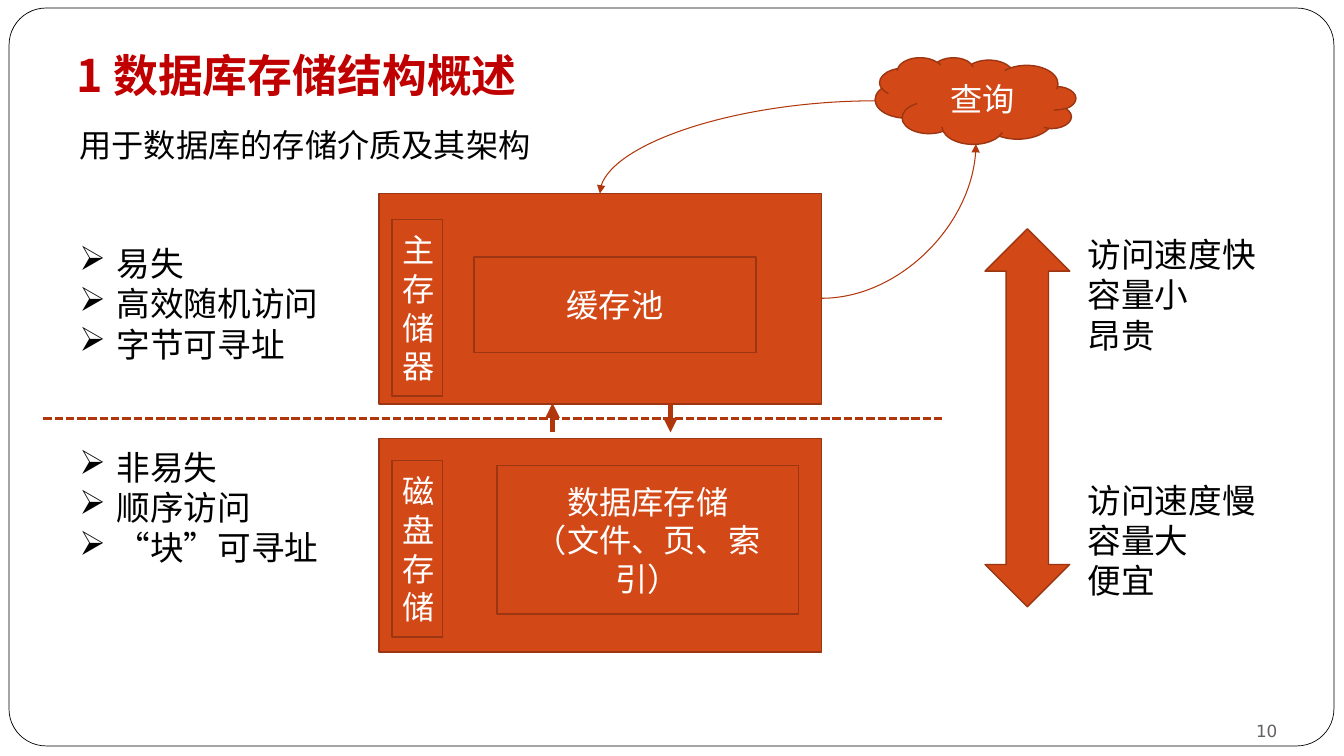
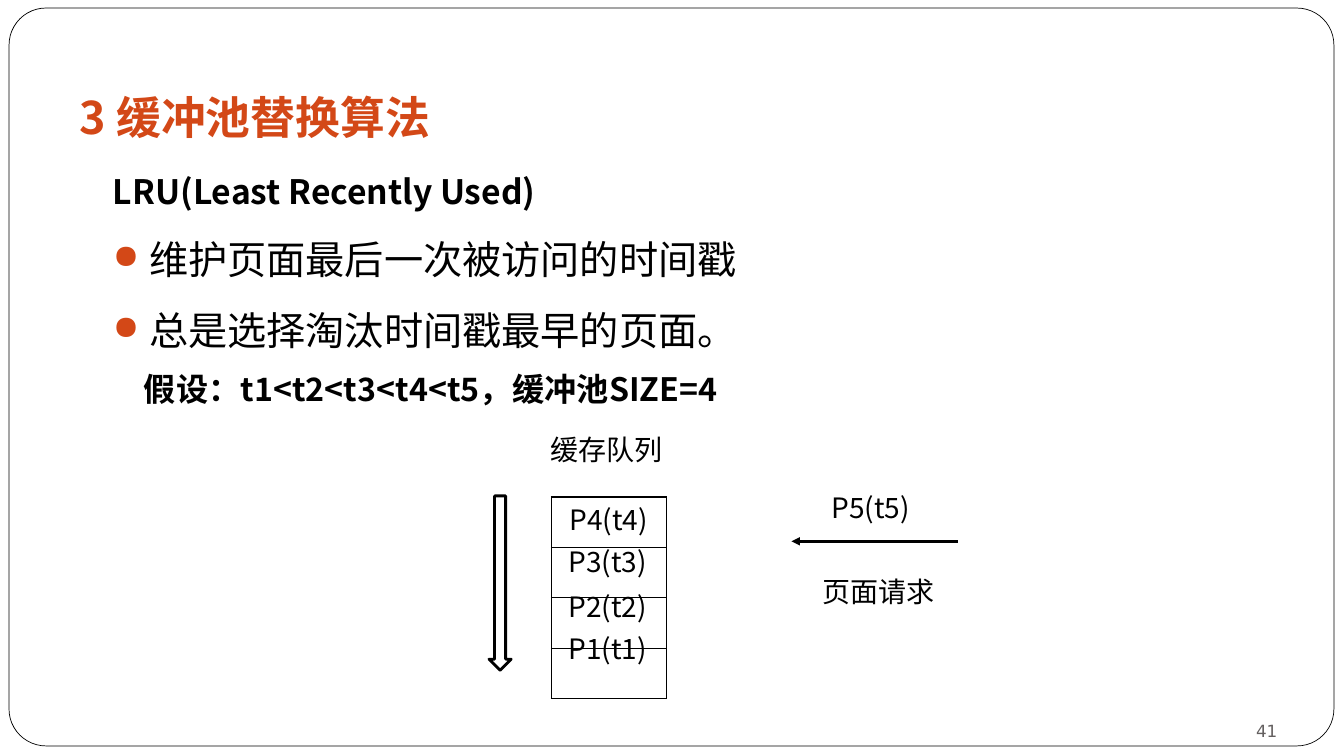
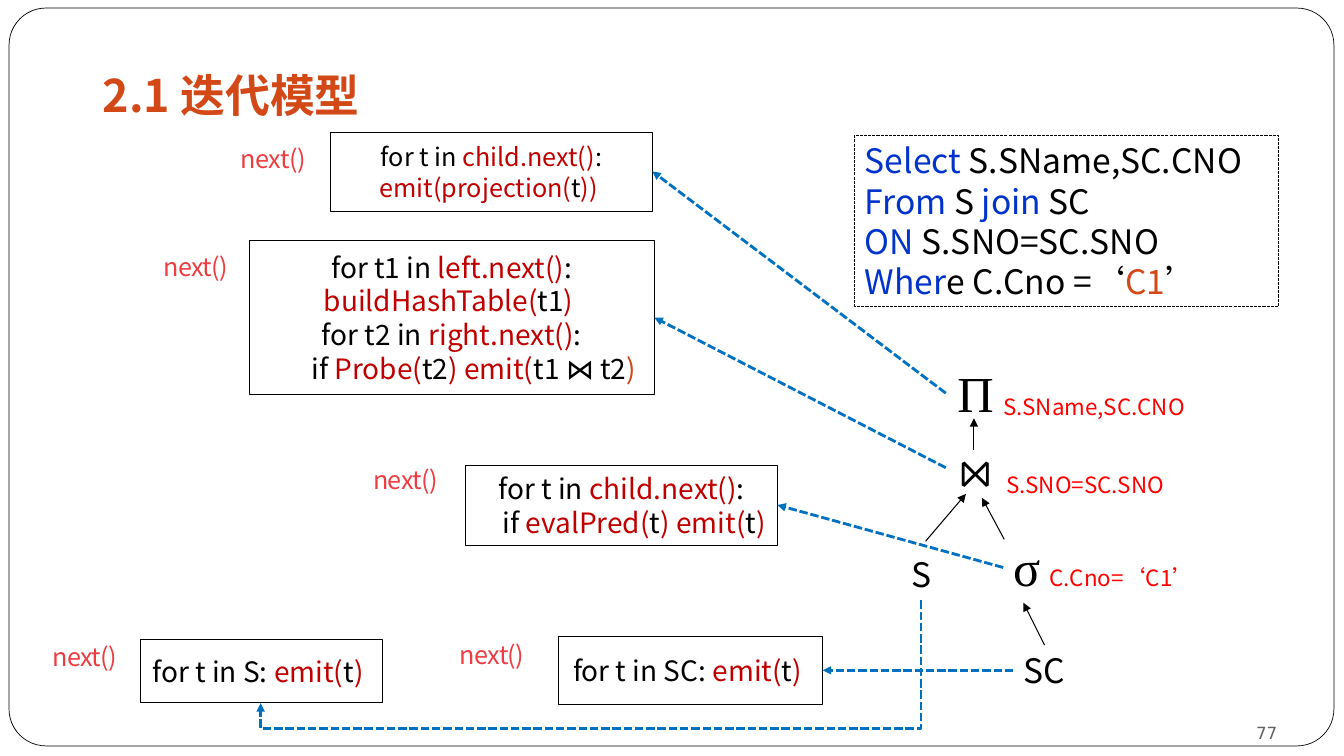
from itertools import cycle

from lxml.etree import SubElement
from pptx import Presentation
from pptx.dml.color import RGBColor
from pptx.enum.dml import MSO_LINE
from pptx.enum.shapes import MSO_CONNECTOR as LINK, MSO_SHAPE as SHAPE
from pptx.enum.text import MSO_ANCHOR as ANCHOR, PP_ALIGN as ALIGN
from pptx.oxml.ns import qn
from pptx.util import Emu, Pt

SANS, SERIF, NUMBER_FONT = "Noto Sans CJK SC", "Times New Roman", "DejaVu Sans"
BLACK = RGBColor(0x00, 0x00, 0x00)
WHITE = RGBColor(0xFF, 0xFF, 0xFF)
ORANGE = RGBColor(0xD3, 0x48, 0x17)
RUST = RGBColor(0x9C, 0x35, 0x11)
LINK_RUST = RGBColor(0xB1, 0x36, 0x0B)
CRIMSON = RGBColor(0xC0, 0x00, 0x00)
RED = RGBColor(0xFF, 0x00, 0x00)
CORAL = RGBColor(0xEE, 0x3D, 0x42)
KEYWORD_BLUE = RGBColor(0x00, 0x33, 0xCC)
LINK_BLUE = RGBColor(0x00, 0x70, 0xC0)
GRAY = RGBColor(0x64, 0x60, 0x60)
PX = 9144


def px(*lengths):
    """Turn px lengths into EMU."""
    return [Emu(length * PX) for length in lengths]


def paint(colors, *texts):
    """Pair pieces of a line with colours taken in turn."""
    return [(text, color) for text, color in zip(texts, cycle(colors)) if text]


def code(*texts):
    """Colour a line of code, black and crimson in turn."""
    return paint((BLACK, CRIMSON), *texts)


def add_bullet(paragraph, char, indent, color=None, percent=None):
    """Give a paragraph a hanging bullet."""
    props = paragraph._p.get_or_add_pPr()
    props.set("marL", str(indent * PX))
    props.set("indent", str(-indent * PX))
    if color is not None:
        SubElement(SubElement(props, qn("a:buClr")), qn("a:srgbClr"), val=str(color))
    if percent:
        SubElement(props, qn("a:buSzPct"), val=str(percent * 1000))
    SubElement(props, qn("a:buChar"), char=char)


def set_font(paragraph, size, color, name=SANS, bold=False, tracking=0):
    """Set the font of a whole paragraph, Latin and East Asian."""
    font = paragraph.font
    font.size, font.name, font.bold = Pt(size), name, bold
    font.color.rgb = color
    props = paragraph._p.pPr.find(qn("a:defRPr"))
    SubElement(props, qn("a:ea"), typeface=SANS if name == SERIF else name)
    if tracking:
        props.set("spc", str(tracking))


def write(frame, lines, size, color=BLACK, align=ALIGN.LEFT, anchor=ANCHOR.TOP,
          insets=(10, 5, 10, 5), wrap=True, bullet=None, **font):
    """Fill a text frame with lines, each a string or coloured pieces."""
    frame.word_wrap, frame.vertical_anchor = wrap, anchor
    (frame.margin_left, frame.margin_top,
     frame.margin_right, frame.margin_bottom) = px(*insets)
    for index, line in enumerate(lines):
        paragraph = frame.add_paragraph() if index else frame.paragraphs[0]
        paragraph.alignment = align
        if bullet:
            add_bullet(paragraph, bullet, 37)
        set_font(paragraph, size, color, **font)
        if isinstance(line, str):
            paragraph.add_run().text = line
            continue
        for text, piece_color in line:
            run = paragraph.add_run()
            run.text = text
            run.font.color.rgb = piece_color


def add_text(slide, box, lines, size, **style):
    """Add a text box."""
    write(slide.shapes.add_textbox(*px(*box)).text_frame, lines, size, **style)


def add_box(slide, kind, box, fill=ORANGE, line=RUST, width=1.0):
    """Add a flat preset shape."""
    shape = slide.shapes.add_shape(kind, *px(*box))
    shape.shadow.inherit = False
    if fill is None:
        shape.fill.background()
    else:
        shape.fill.solid()
        shape.fill.fore_color.rgb = fill
    shape.line.color.rgb, shape.line.width = line, Pt(width)
    return shape


def add_label(slide, box, *lines, kind=SHAPE.RECTANGLE):
    """Add an orange shape with centred white text."""
    shape = add_box(slide, kind, box)
    write(shape.text_frame, lines, 23, color=WHITE, align=ALIGN.CENTER, anchor=ANCHOR.MIDDLE)
    return shape


def add_link(slide, ends, color, width, kind=LINK.STRAIGHT, dashed=False, arrow=True):
    """Add a connector, by default with an arrowhead at its end."""
    link = slide.shapes.add_connector(kind, *px(*ends))
    link.line.color.rgb, link.line.width = color, Pt(width)
    if dashed:
        link.line.dash_style = MSO_LINE.SQUARE_DOT
    props = link._element.spPr
    if arrow:
        SubElement(props.find(qn("a:ln")), qn("a:tailEnd"), type="triangle")
    SubElement(props, qn("a:effectLst"))
    return link


def add_curve(slide, ends):
    """Add a quarter-turn curved arrow."""
    link = add_link(slide, ends, LINK_RUST, 0.75, LINK.CURVE)
    link._element.spPr.find(qn("a:prstGeom")).set("prst", "curvedConnector2")


def start_slide(deck, title, left, top, number, color=ORANGE, number_top=695):
    """Add a slide with the shared frame, title and page number."""
    slide = deck.slides.add_slide(deck.slide_layouts[6])
    frame = add_box(slide, SHAPE.ROUNDED_RECTANGLE, (9, 8, 1314, 732), WHITE, BLACK, 0.5)
    frame.adjustments[0] = 0.05
    add_text(slide, (left, top, 1200, 86), [title], 32, color=color, bold=True,
             anchor=ANCHOR.BOTTOM, insets=(12, 6, 12, 12))
    add_text(slide, (1156, number_top, 111, 40), [number], 12, color=GRAY, name=NUMBER_FONT,
             align=ALIGN.RIGHT, anchor=ANCHOR.BOTTOM, insets=(0, 0, 0, 0))
    return slide


def build_storage(deck):
    """Build the storage hierarchy slide."""
    slide = start_slide(deck, "1 数据库存储结构概述", 64, 27, "10", CRIMSON)
    add_text(slide, (69, 119, 472, 49), ["用于数据库的存储介质及其架构"], 23, name=SERIF)
    for top, height in ((192, 209), (435, 212)):
        add_box(slide, SHAPE.RECTANGLE, (376, top, 439, height))
    add_link(slide, (548, 429, 548, 400), LINK_RUST, 3.5)
    add_link(slide, (665, 400, 665, 429), LINK_RUST, 3.5)
    add_link(slide, (43, 415, 937, 415), LINK_RUST, 2, dashed=True, arrow=False)
    for top, traits in ((236, ("易失", "高效随机访问", "字节可寻址")),
                        (438, ("非易失", "顺序访问", "“块”可寻址"))):
        add_text(slide, (69, top, 263, 131), traits, 24, bullet="➢")
    add_box(slide, SHAPE.UP_DOWN_ARROW, (977, 227, 84, 375))
    for top, costs in ((227, ("访问速度快", "容量小", "昂贵")),
                       (471, ("访问速度慢", "容量大", "便宜"))):
        add_text(slide, (1069, top, 240, 131), costs, 24)
    query = add_label(slide, (868, 57, 199, 86), "查询", kind=SHAPE.CLOUD)
    query._element.spPr.xfrm.set("flipH", "1")
    add_label(slide, (389, 457, 50, 175), "磁盘存储")
    add_label(slide, (493, 462, 299, 147), "数据库存储", "（文件、页、索引）")
    add_label(slide, (389, 218, 50, 175), "主存储器")
    add_label(slide, (470, 255, 280, 95), "缓存池")
    add_curve(slide, (869, 100, 595, 192))
    add_curve(slide, (815, 296, 968, 143))


def add_lru_points(slide):
    """Add the LRU heading and its bulleted rules."""
    frame = slide.shapes.add_textbox(*px(100, 158, 1133, 202)).text_frame
    write(frame, ["LRU(Least Recently Used)"], 24, align=ALIGN.JUSTIFY,
          insets=(12, 6, 12, 6), bold=True)
    for rule in ("维护页面最后一次被访问的时间戳", "总是选择淘汰时间戳最早的页面。"):
        paragraph = frame.add_paragraph()
        paragraph.alignment, paragraph.space_before = ALIGN.JUSTIFY, Pt(12)
        add_bullet(paragraph, "●", 36, ORANGE, 85)
        set_font(paragraph, 28, BLACK)
        paragraph.add_run().text = rule
    for paragraph in frame.paragraphs:
        paragraph.line_spacing = 1.15


def add_queue(slide, box, rows):
    """Add the one-column table of buffer slots."""
    queue = slide.shapes.add_table(rows, 1, *px(*box)).table
    for row in range(rows):
        cell = queue.cell(row, 0)
        props = cell._tc.get_or_add_tcPr()
        for side in ("a:lnL", "a:lnR", "a:lnT", "a:lnB"):
            edge = SubElement(props, qn(side), w=str(Pt(1)))
            SubElement(SubElement(edge, qn("a:solidFill")), qn("a:srgbClr"), val=str(BLACK))
        cell.fill.background()


def build_lru(deck):
    """Build the LRU replacement slide."""
    slide = start_slide(deck, "3 缓冲池替换算法", 67, 68, "41")
    add_lru_points(slide)
    add_text(slide, (133, 361, 777, 49), ["假设：t1<t2<t3<t4<t5，缓冲池SIZE=4"], 23, bold=True)
    add_queue(slide, (547, 493, 114, 200), 4)
    add_box(slide, SHAPE.DOWN_ARROW, (485, 492, 22, 173), WHITE, BLACK, 2)
    for text, left, top, width in (
            ("缓存队列", 536, 424, 147), ("P5(t5)", 815, 482, 114), ("页面请求", 806, 565, 144),
            ("P4(t4)", 555, 494, 114), ("P3(t3)", 554, 535, 114),
            ("P2(t2)", 554, 580, 114), ("P1(t1)", 554, 622, 114)):
        add_text(slide, (left, top, width, 44), [text], 20)
    add_link(slide, (950, 537, 785, 537), BLACK, 2)


def add_operator(slide, box, size, *lines):
    """Add an outlined box of operator code."""
    shape = add_box(slide, SHAPE.RECTANGLE, box, None, BLACK, 0.75)
    write(shape.text_frame, lines, size, align=ALIGN.CENTER, anchor=ANCHOR.MIDDLE, wrap=False)


def add_sql(slide):
    """Add the dashed box with the query."""
    shape = add_box(slide, SHAPE.RECTANGLE, (848, 134, 420, 170), WHITE, BLACK, 0.75)
    shape.line.dash_style = MSO_LINE.SQUARE_DOT
    pair = (KEYWORD_BLUE, BLACK)
    write(shape.text_frame, [
        paint(pair, "Select ", "S.SName,SC.CNO"),
        paint(pair, "From", " S ", "join", " SC"),
        paint(pair, "ON", " S.SNO=SC.SNO"),
        paint((*pair, ORANGE, BLACK), "Wher", "e C.Cno =‘", "C1", "’"),
    ], 24, anchor=ANCHOR.MIDDLE)


def add_plan_tree(slide):
    """Add the operator tree with its conditions."""
    for ends in ((918, 537, 958, 490), (996, 535, 974, 494),
                 (966, 446, 966, 415), (1036, 640, 1015, 598)):
        add_link(slide, ends, BLACK, 0.75)
    for text, left, top in (("C.Cno=‘C1’", 1031, 555), ("S.SNO=SC.SNO", 988, 463),
                            ("S.SName,SC.CNO", 985, 385)):
        add_text(slide, (left, top, 209, 37), [text], 16, color=RED)
    for symbol, left, top, width in (("σ", 995, 527, 41), ("⋈", 938, 429, 59),
                                     ("Π", 938, 354, 59)):
        add_text(slide, (left, top, width, 71), [symbol], 36, name=SERIF, align=ALIGN.CENTER)
    for table, left, top in (("S", 894, 545), ("SC", 1005, 640)):
        add_text(slide, (left, top, 70, 50), [table], 24)


def build_iterator(deck):
    """Build the iterator model slide."""
    slide = start_slide(deck, "2.1 迭代模型", 90, 47, "77", number_top=697)
    add_sql(slide)
    add_plan_tree(slide)
    add_operator(slide, (328, 131, 319, 79), 18,
                 code("for t in ", "child.next()", ":"),
                 code("", "emit(projection(", "t", ")) "))
    add_operator(slide, (247, 239, 402, 152), 20,
                 code("for t1 in ", "left.next()", ":"),
                 code("", "buildHashTable(", "t1", ") "),
                 code("for t2 in ", "right.next()", ":"),
                 paint((BLACK, CRIMSON, BLACK, CRIMSON, BLACK, ORANGE),
                       "        if ", "Probe(", "t2", ") emit(", "t1 ⋈ t2", ") "))
    add_operator(slide, (462, 462, 309, 79), 20,
                 code("for t in ", "child.next()", ":"),
                 code("     if ", "evalPred(", "t", ") emit(", "t", ") "))
    add_operator(slide, (554, 631, 262, 68), 20, code("for t in SC: ", "emit(", "t", ") "))
    add_operator(slide, (139, 634, 240, 63), 20, code("for t in S: ", "emit(", "t", ") "))
    for left, top in ((238, 141), (161, 248), (369, 460), (51, 635), (455, 633)):
        add_text(slide, (left, top, 85, 32), ["next()"], 18, color=CORAL,
                 insets=(1, 1, 0, 0), tracking=-40)
    for ends in ((938, 390, 647, 170), (938, 464, 649, 315),
                 (1005, 665, 816, 665), (995, 563, 771, 501)):
        add_link(slide, ends, LINK_BLUE, 2, dashed=True)
    scan = add_link(slide, (535, 319, 637, 974), LINK_BLUE, 2, LINK.ELBOW, dashed=True)
    props = scan._element.spPr
    props.xfrm.set("rot", "5400000")
    guides = props.find(qn("a:prstGeom")).get_or_add_avLst()
    SubElement(guides, qn("a:gd"), name="adj1", fmla="val 124600")


def main():
    """Build and save the deck."""
    deck = Presentation()
    deck.slide_width, deck.slide_height = px(1333, 750)
    build_storage(deck)
    build_lru(deck)
    build_iterator(deck)
    deck.save("out.pptx")


if __name__ == "__main__":
    main()
